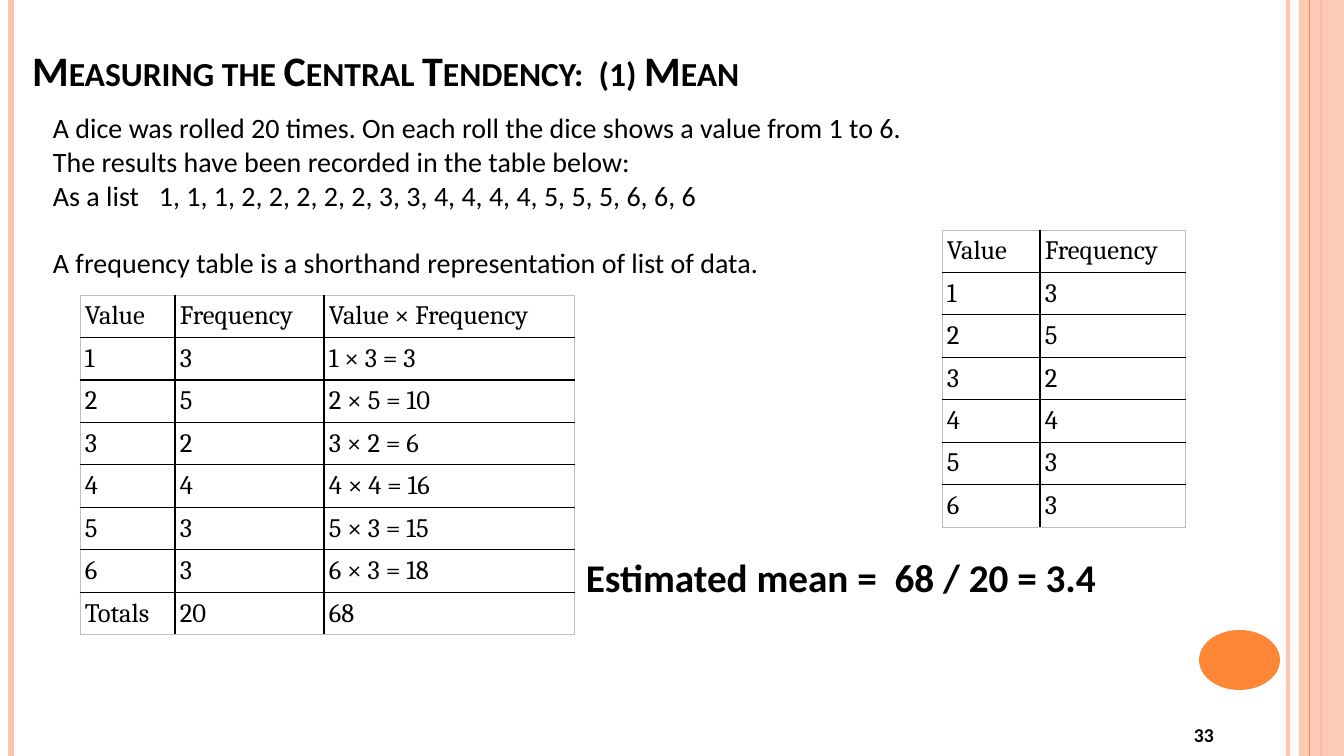
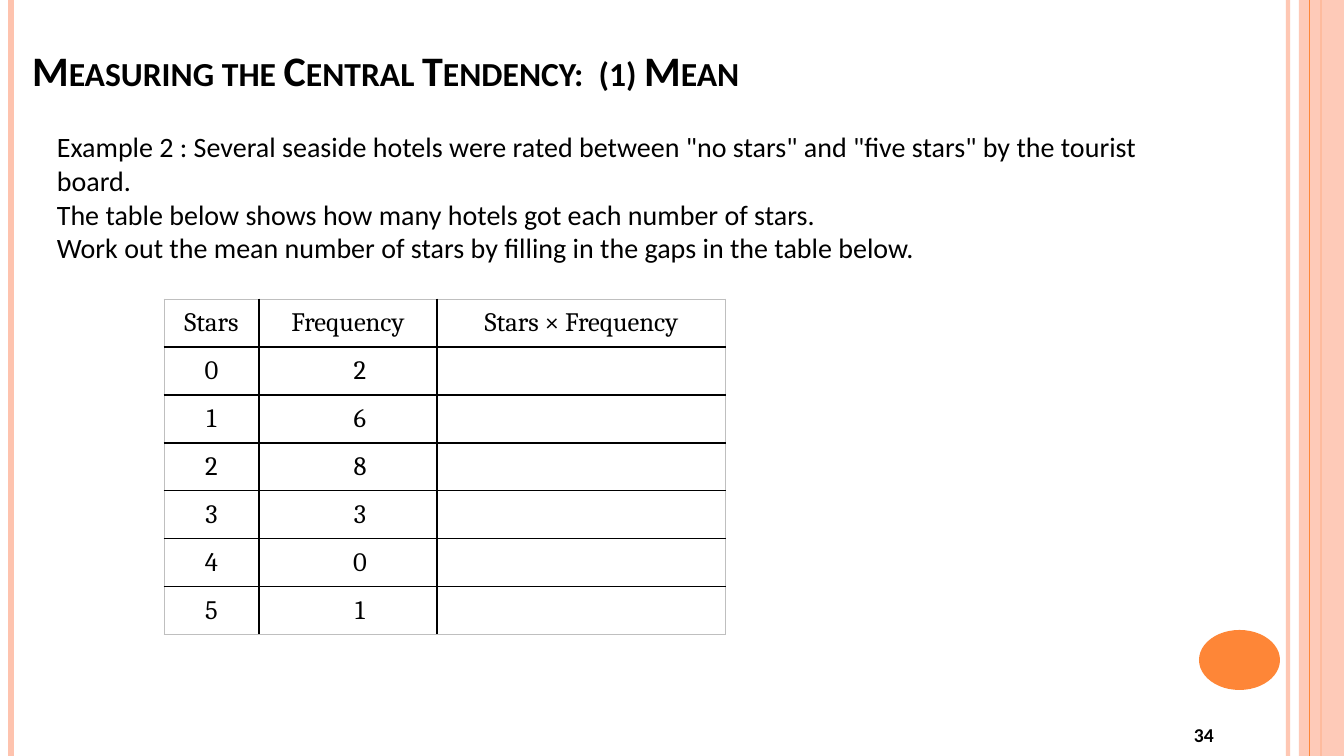
from dataclasses import dataclass

from lxml import etree
from pptx import Presentation
from pptx import util as u
from pptx.dml.color import RGBColor
from pptx.enum import shapes, text
from pptx.oxml import ns

SCALE = 12192000 / 1344
W, H = 1344, 756


@dataclass(frozen=True)
class Theme:
    ink: str = "000000"
    pale: str = "FEC3AE"
    accent: str = "FE8637"
    edge: str = "BFBFBF"
    sans: str = "Calibri"
    serif: str = "Cambria"
    title: int = 30
    result: int = 28
    body: int = 20
    cell: int = 19
    number: int = 14


T = Theme()
ALIGN = text.PP_ALIGN
ANCHOR = text.MSO_ANCHOR
TITLE = "Measuring the Central Tendency:  (1) Mean"
DICE = {1: 3, 2: 5, 3: 2, 4: 4, 5: 3, 6: 3}
HOTELS = {0: 2, 1: 6, 2: 8, 3: 3, 4: 0, 5: 1}


def px(n):
    return u.Emu(round(n * SCALE))


def box(*lengths):
    return [px(n) for n in lengths]


def apply(obj, fmt):
    for name, value in fmt.items():
        setattr(obj, name, value)


def sub(parent, tag, **attrs):
    return etree.SubElement(parent, ns.qn(tag), attrs)


def set_alpha(el, percent):
    for clr in el.iter(ns.qn("a:srgbClr")):
        sub(clr, "a:alpha", val=str(percent * 1000))


def add_run(p, words, size, font=T.sans, bold=False):
    r = p.add_run()
    r.text = words
    apply(r.font, {"size": u.Pt(size), "name": font, "bold": bold})
    r.font.color.rgb = RGBColor.from_string(T.ink)
    return r


def add_text(s, at, lines, size, bold=False, align=ALIGN.LEFT, anchor=ANCHOR.TOP):
    tf = s.shapes.add_textbox(*box(*at)).text_frame
    apply(tf, {"word_wrap": True, "vertical_anchor": anchor})
    for i, line in enumerate(lines):
        p = tf.add_paragraph() if i else tf.paragraphs[0]
        p.alignment = align
        add_run(p, line, size, bold=bold)
    return tf


def add_rule(s, x, color, width, alpha=100):
    ln = s.shapes.add_connector(shapes.MSO_CONNECTOR.STRAIGHT, *box(x, 0, x, H))
    ln.line.width = u.Pt(width)
    ln.line.color.rgb = RGBColor.from_string(color)
    spPr = ln._element.spPr
    set_alpha(spPr, alpha)
    sub(spPr, "a:effectLst")


def add_solid(s, kind, at, color, alpha=100):
    sp = s.shapes.add_shape(kind, *box(*at))
    sp.shadow.inherit = False
    sp.fill.solid()
    sp.fill.fore_color.rgb = RGBColor.from_string(color)
    sp.line.fill.background()
    set_alpha(sp._element.spPr, alpha)


def add_frame(s):
    add_rule(s, 1288, T.pale, 3, 93)
    add_rule(s, 11, T.pale, 4.5)
    add_rule(s, 1321, T.accent, 1.5)
    add_solid(s, shapes.MSO_SHAPE.RECTANGLE, (1299, 0, 45, H), T.pale, 87)
    add_rule(s, 1310, T.accent, 0.75)
    add_solid(s, shapes.MSO_SHAPE.OVAL, (1199, 630, 81, 60), T.accent)


def add_slide(prs, number):
    s = prs.slides.add_slide(prs.slide_layouts[5])
    add_frame(s)
    title = s.shapes.title
    apply(title, dict(zip(("left", "top", "width", "height"), box(22, 33, 1288, 67))))
    tf = title.text_frame
    apply(tf, {"word_wrap": True, "auto_size": text.MSO_AUTO_SIZE.NONE,
               "vertical_anchor": ANCHOR.BOTTOM})
    p = tf.paragraphs[0]
    p.alignment = ALIGN.LEFT
    r = add_run(p, TITLE, T.title, bold=True)
    r.font._element.set("cap", "small")
    add_text(s, (1064, 714, 280, 42), [number], T.number, True, ALIGN.CENTER, ANCHOR.MIDDLE)
    return s


def set_borders(cell, outer):
    tcPr = cell._tc.get_or_add_tcPr()
    for i, (side, is_outer) in enumerate(zip("LRTB", outer)):
        ln = sub(tcPr, f"a:ln{side}", w=str(u.Pt(0.75 if is_outer else 1)))
        sub(sub(ln, "a:solidFill"), "a:srgbClr", val=T.edge if is_outer else T.ink)
        tcPr.insert(i, ln)


def add_grid(s, left, top, height, cols, rows, align=ALIGN.LEFT, indents=None):
    n, m = len(rows), len(cols)
    table = s.shapes.add_table(n, m, *box(left, top, sum(cols), height)).table
    apply(table, {"first_row": False, "horz_banding": False})
    for col, width in zip(table.columns, cols):
        col.width = px(width)
    for i, row in enumerate(rows):
        table.rows[i].height = px(height / n)
        for j, value in enumerate(row):
            cell = table.cell(i, j)
            indent = (indents or {}).get(j, 0) if i else 0
            apply(cell, {"margin_left": px(5 + indent), "margin_right": px(5),
                         "margin_top": px(5), "margin_bottom": px(5),
                         "vertical_anchor": ANCHOR.MIDDLE})
            cell.fill.background()
            set_borders(cell, (j == 0, j == m - 1, i == 0, i == n - 1))
            p = cell.text_frame.paragraphs[0]
            p.alignment = align
            if value != "":
                add_run(p, str(value), T.cell, T.serif)


def dice_slide(prs):
    s = add_slide(prs, "33")
    rolls = ", ".join(str(v) for v, f in DICE.items() for _ in range(f))
    tf = add_text(s, (43, 106, 1104, 180), [
        "A dice was rolled 20 times. On each roll the dice shows a value from 1 to 6.",
        "The results have been recorded in the table below:",
        f"As a list\t{rolls}",
        "A frequency table is a shorthand representation of list of data.",
    ], T.body)
    tabs = sub(tf.paragraphs[2]._p.get_or_add_pPr(), "a:tabLst")
    sub(tabs, "a:tab", pos=str(px(106)), algn="l")
    tf.paragraphs[3].space_before = u.Pt(24)

    add_grid(s, 942, 230, 297, (98, 146), [("Value", "Frequency"), *DICE.items()])
    count = sum(DICE.values())
    total = sum(v * f for v, f in DICE.items())
    products = [(v, f, f"{v} × {f} = {v * f}") for v, f in DICE.items()]
    add_grid(s, 80, 295, 340, (95, 149, 251),
             [("Value", "Frequency", "Value × Frequency"), *products,
              ("Totals", count, total)])
    add_text(s, (576, 548, 638, 58),
             [f"Estimated mean =  {total} / {count} = {total / count}"], T.result, True)


def hotels_slide(prs):
    s = add_slide(prs, "34")
    add_text(s, (47, 125, 1143, 150), [
        'Example 2 : Several seaside hotels were rated between "no stars" and '
        '"five stars" by the tourist board.',
        "The table below shows how many hotels got each number of stars.",
        "Work out the mean number of stars by filling in the gaps in the table below.",
    ], T.body)
    add_grid(s, 164, 299, 336, (95, 178, 289),
             [("Stars", "Frequency", "Stars × Frequency"),
              *((v, f, "") for v, f in HOTELS.items())],
             ALIGN.CENTER, {1: 24})


def main():
    prs = Presentation()
    apply(prs, {"slide_width": px(W), "slide_height": px(H)})
    dice_slide(prs)
    hotels_slide(prs)
    prs.save("out.pptx")


if __name__ == "__main__":
    main()
